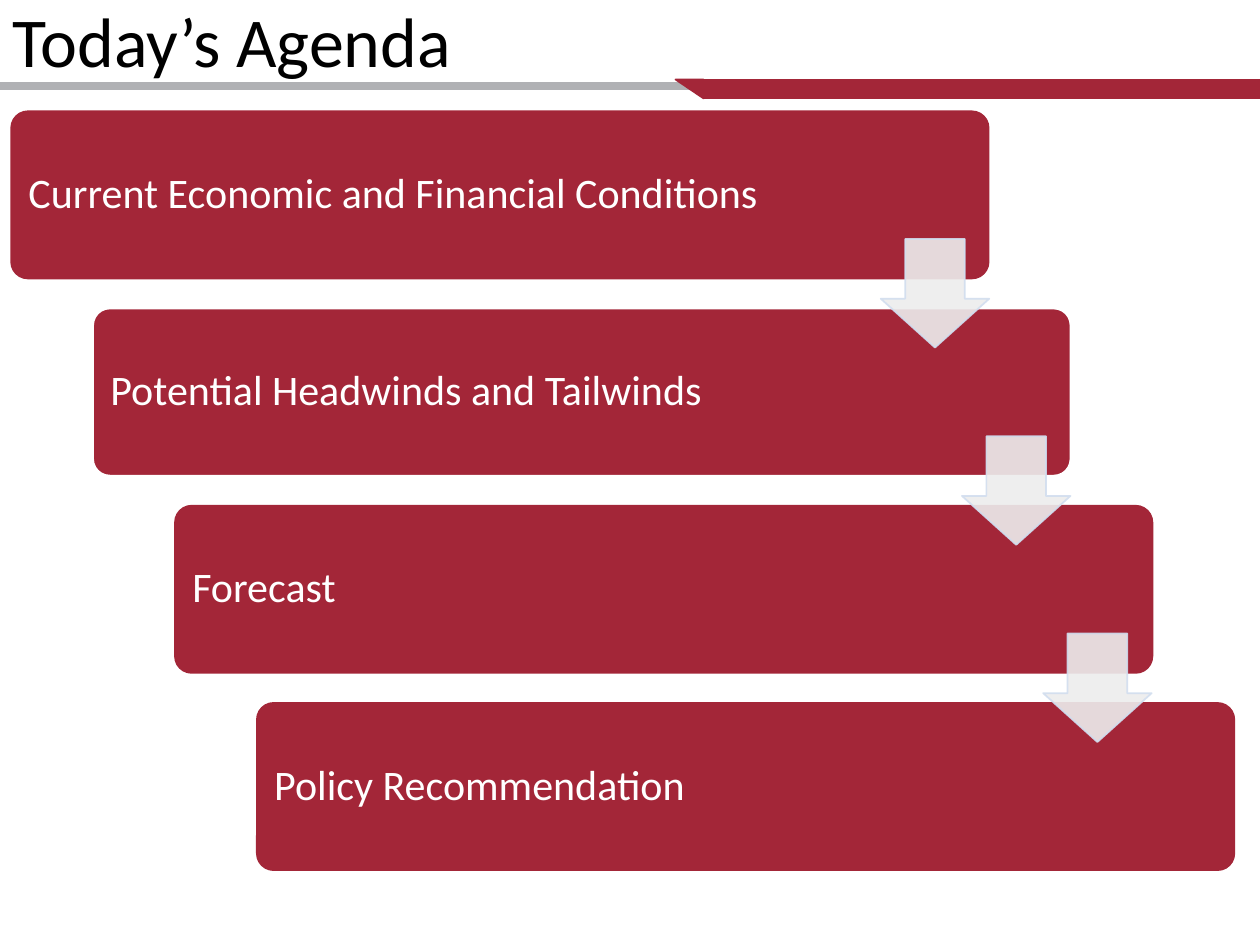
"""Build the agenda slide: a staircase of four topics joined by arrows."""
from dataclasses import dataclass

from lxml.etree import SubElement
from pptx import Presentation
from pptx.dml.color import RGBColor
from pptx.enum.shapes import MSO_SHAPE as Shape
from pptx.enum.text import MSO_ANCHOR as Anchor, MSO_AUTO_SIZE as AutoSize, PP_ALIGN as Align
from pptx.oxml.ns import qn
from pptx.util import Pt


@dataclass(frozen=True)
class Theme:
    font: str = "Calibri"
    title_size: int = 40
    topic_size: int = 24
    crimson: str = "A32638"
    gray: str = "B0B1B4"
    white: str = "FFFFFF"
    black: str = "000000"
    arrow_fill: str = "EDEDED"
    arrow_line: str = "D2DEEF"


theme = Theme()


def add_block(kind, left, top, width, height, fill, line):
    block = slide.shapes.add_shape(kind, Pt(left), Pt(top), Pt(width), Pt(height))
    block.shadow.inherit = False
    block.fill.solid()
    block.fill.fore_color.rgb = RGBColor.from_string(fill)
    block.line.color.rgb = RGBColor.from_string(line)
    block.line.width = Pt(1)
    return block


def style_text(paragraph, size, color):
    paragraph.alignment = Align.LEFT
    for run in paragraph.runs:
        run.font.name = theme.font
        run.font.size = Pt(size)
        run.font.color.rgb = RGBColor.from_string(color)


deck = Presentation()
deck.slide_width, deck.slide_height = Pt(720), Pt(540)
slide = deck.slides.add_slide(deck.slide_layouts[5])

add_block(Shape.RECTANGLE, 0, 47.5, 720, 3.6, theme.gray, theme.gray)
ribbon_tip = add_block(Shape.RIGHT_TRIANGLE, 386, 45.4, 16, 10.8, theme.crimson, theme.crimson)
ribbon_tip.rotation = 180
add_block(Shape.RECTANGLE, 402.4, 45.4, 317.6, 10.8, theme.crimson, theme.crimson)

title = slide.shapes.title
title.left, title.top, title.width, title.height = Pt(0), Pt(-5), Pt(270.7), Pt(55.4)
title.text_frame.text = "Today’s Agenda"
title.text_frame.word_wrap = False
title.text_frame.auto_size = AutoSize.SHAPE_TO_FIT_TEXT
title.text_frame.vertical_anchor = Anchor.TOP
style_text(title.text_frame.paragraphs[0], theme.title_size, theme.black)

topics = [
    ("Current Economic and Financial Conditions", theme.crimson),
    ("Potential Headwinds and Tailwinds", theme.white),
    ("Forecast", theme.crimson),
    ("Policy Recommendation", theme.crimson),
]
step_x, step_y = 46.8, 112.7

for index, (topic, outline) in enumerate(topics):
    card = add_block(Shape.ROUNDED_RECTANGLE, 6.4 + index * step_x, 63.6 + index * step_y,
                     558.5, 95.5, theme.crimson, outline)
    card.adjustments[0] = 0.1
    frame = card.text_frame
    frame.text = topic
    frame.word_wrap = True
    frame.vertical_anchor = Anchor.MIDDLE
    frame.margin_left = Pt(7.2)
    frame.paragraphs[0].line_spacing = 0.9
    style_text(frame.paragraphs[0], theme.topic_size, theme.white)

for index in range(len(topics) - 1):
    arrow = add_block(Shape.DOWN_ARROW, 503.3 + index * 46.4, 136.6 + index * step_y,
                      62, 62, theme.arrow_fill, theme.arrow_line)
    arrow.adjustments[0] = 0.45
    arrow.adjustments[1] = 0.55
    arrow.adjustments[0], arrow.adjustments[1] = 0.55, 0.45
    for color in arrow.element.spPr.iter(qn("a:srgbClr")):
        SubElement(color, qn("a:alpha"), val="90000")

deck.save("out.pptx")
